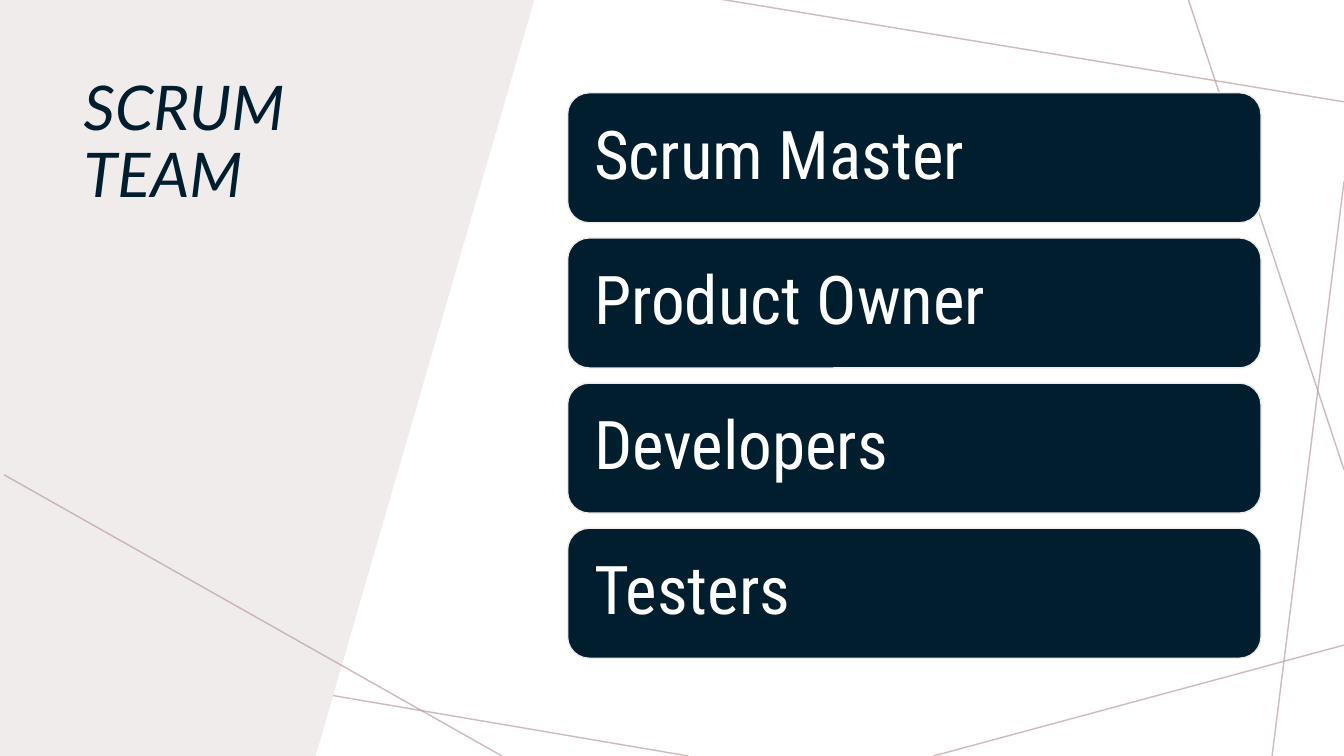
import pptx
import pptx.dml.color
import pptx.enum.shapes
import pptx.enum.text
import pptx.oxml.ns
import pptx.util
from lxml import etree

COLOURS = {
    "white": "FFFFFF",
    "navy": "001E2E",
    "panel": "F0ECEC",
    "rose": "BA9CA0",
}
TITLE_FONT = "Lato"
CARD_FONT = "Roboto Condensed"

# Ends of the decorative lines, in percent of slide width and height
BACK_LINES = [
    ((51.22, 100), (-0.38, 84.4)),
    ((100, 85.33), (69.45, 100)),
    ((100, 24), (94.65, 100)),
    ((100, 62.13), (88.43, 0)),
    ((100, 13.47), (53.55, -0.13)),
]
FRONT_LINE = ((0.3, 62.8), (37.35, 100))
PANEL_CORNERS = [(23.48, 100), (0, 100), (0, 0), (39.75, 0)]

ROLES = ["Scrum Master", "Product Owner", "Developers", "Testers"]
CARD_LEFT, CARD_TOP = 42.23, 12.27
CARD_WIDTH, CARD_HEIGHT = 51.6, 17.2
CARD_STEP = 19.2


def colour(name):
    return pptx.dml.color.RGBColor.from_string(COLOURS[name])


class SlideBuilder:
    """Holds the style and the current slide; lengths are percentages."""

    def __init__(self, deck):
        self.deck = deck
        self.page = deck.slides.add_slide(deck.slide_layouts[5])
        self.page.background.fill.solid()
        self.page.background.fill.fore_color.rgb = colour("white")

    def x(self, share):
        return round(self.deck.slide_width * share / 100)

    def y(self, share):
        return round(self.deck.slide_height * share / 100)

    def frame(self, left, top, width, height):
        return self.x(left), self.y(top), self.x(width), self.y(height)

    def add_text(self, para, text, font, size, tint, italic=False):
        para.alignment = pptx.enum.text.PP_ALIGN.LEFT
        para.line_spacing = 0.9
        span = para.add_run()
        span.text = text
        span.font.name = font
        span.font.size = pptx.util.Pt(size)
        span.font.italic = italic
        span.font.color.rgb = colour(tint)

    def line(self, start, end):
        connector = self.page.shapes.add_connector(
            pptx.enum.shapes.MSO_CONNECTOR.STRAIGHT,
            self.x(start[0]), self.y(start[1]), self.x(end[0]), self.y(end[1]))
        connector.line.width = pptx.util.Pt(1)
        connector.line.color.rgb = colour("rose")
        # 70 % opacity and no shadow
        qn = pptx.oxml.ns.qn
        properties = connector.element.spPr
        tint = properties.find(".//" + qn("a:srgbClr"))
        etree.SubElement(tint, qn("a:alpha"), val="70000")
        etree.SubElement(properties, qn("a:effectLst"))

    def panel(self, corners):
        points = [(self.x(across), self.y(down)) for across, down in corners]
        builder = self.page.shapes.build_freeform(*points[0])
        builder.add_line_segments(points[1:], close=True)
        shape = builder.convert_to_shape()
        shape.shadow.inherit = False
        shape.fill.solid()
        shape.fill.fore_color.rgb = colour("panel")
        shape.line.fill.background()

    def title(self, text, *place):
        box = self.page.shapes.title
        box.left, box.top, box.width, box.height = self.frame(*place)
        # Bring the title in front of the panel
        box.element.getparent().append(box.element)
        frame = box.text_frame
        frame.word_wrap = True
        frame.auto_size = pptx.enum.text.MSO_AUTO_SIZE.NONE
        frame.vertical_anchor = pptx.enum.text.MSO_ANCHOR.TOP
        self.add_text(frame.paragraphs[0], text, TITLE_FONT, 44, "navy", italic=True)

    def card(self, text, *place):
        box = self.page.shapes.add_shape(
            pptx.enum.shapes.MSO_SHAPE.ROUNDED_RECTANGLE, *self.frame(*place))
        box.shadow.inherit = False
        box.fill.solid()
        box.fill.fore_color.rgb = colour("navy")
        box.line.color.rgb = colour("panel")
        box.line.width = pptx.util.Pt(1)
        frame = box.text_frame
        frame.word_wrap = True
        frame.vertical_anchor = pptx.enum.text.MSO_ANCHOR.MIDDLE
        frame.margin_left = frame.margin_right = self.x(1.5)
        self.add_text(frame.paragraphs[0], text, CARD_FONT, 48, "white")


def main():
    deck = pptx.Presentation()
    deck.slide_width = pptx.util.Inches(13.33)
    deck.slide_height = pptx.util.Inches(7.5)
    slide = SlideBuilder(deck)

    # Background lines and side panel
    for start, end in BACK_LINES:
        slide.line(start, end)
    slide.panel(PANEL_CORNERS)

    # Title, with one line crossing the panel
    slide.title("SCRUM TEAM", 5.48, 9.6, 26.48, 52)
    slide.line(*FRONT_LINE)

    # One card for each role
    for row, role in enumerate(ROLES):
        slide.card(role, CARD_LEFT, CARD_TOP + row * CARD_STEP,
                   CARD_WIDTH, CARD_HEIGHT)

    deck.save("out.pptx")


if __name__ == "__main__":
    main()
